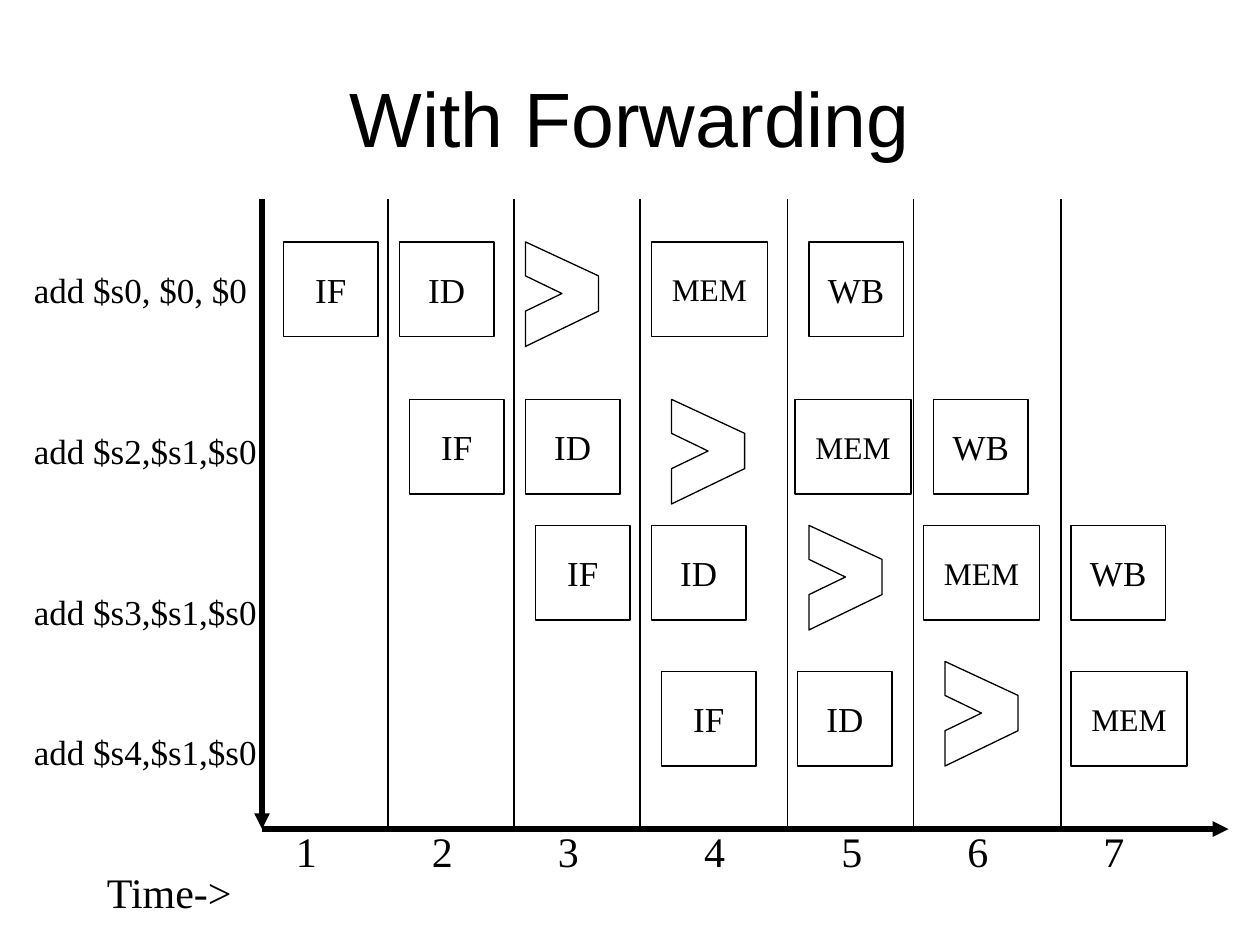
from lxml import etree
from pptx import Presentation
from pptx import util as u
from pptx.dml.color import RGBColor
from pptx.enum import shapes, text
from pptx.oxml import ns

COLORS = {"ink": "000000", "paper": "FFFFFF"}
SERIF = "Times New Roman"
AXIS_X, AXIS_Y, GRID_TOP = 2.08, 6.58, 1.58
DIVIDERS = [3.08, 4.08, 5.08, 6.25, 7.25, 8.42]
CYCLE_TABS = [1.08, 2.08, 3.24, 4.33, 5.33, 6.41]
STAGES = {"IF": (0.75, 20), "ID": (0.75, 20), "MEM": (0.92, 18), "WB": (0.75, 20)}
ALU_OUTLINE = [(0, 0.83), (0, 0.55), (0.29, 0.41), (0, 0.27), (0, 0), (0.58, 0.27), (0.58, 0.55)]
INSTRUCTIONS = [
    ("add $s0, $0, $0", 2.08, 1.89, 1.92, 1.92, {"IF": 2.25, "ID": 3.17, "ALU": 4.17, "MEM": 5.17, "WB": 6.42}),
    ("add $s2,$s1,$s0", 3.36, 1.97, 3.17, 3.17, {"IF": 3.25, "ID": 4.17, "ALU": 5.33, "MEM": 6.31, "WB": 7.41}),
    ("add $s3,$s1,$s0", 4.64, 1.97, 4.17, 4.17, {"IF": 4.25, "ID": 5.17, "ALU": 6.42, "MEM": 7.33, "WB": 8.5}),
    ("add $s4,$s1,$s0", 5.75, 1.97, 5.33, 5.25, {"IF": 5.25, "ID": 6.33, "ALU": 7.5, "MEM": 8.5}),
]


def color(name):
    """Return the named palette colour."""
    return RGBColor.from_string(COLORS[name])


def style_text(frame, size, face=SERIF, align=text.PP_ALIGN.LEFT):
    """Format every run of a text frame."""
    for paragraph in frame.paragraphs:
        paragraph.alignment = align
        for run in paragraph.runs:
            run.font.size = u.Pt(size)
            run.font.name = face
            run.font.color.rgb = color("ink")


def add_label(slide, wording, left, top, width, height, size, wrap=False):
    """Add a left-aligned text box and return its frame."""
    label = slide.shapes.add_textbox(*map(u.Inches, (left, top, width, height)))
    frame = label.text_frame
    frame.text = wording
    frame.word_wrap = wrap
    style_text(frame, size)
    return frame


def add_title(slide, wording):
    """Add the centred slide heading."""
    frame = add_label(slide, wording, 0.5, 0.3, 9, 1.25, 44, wrap=True)
    frame.vertical_anchor = text.MSO_ANCHOR.MIDDLE
    style_text(frame, 44, "Arial", text.PP_ALIGN.CENTER)


def add_cycle_numbers(slide):
    """Number the clock cycles along the time axis using tab stops."""
    wording = "\t".join(str(cycle) for cycle in range(1, len(CYCLE_TABS) + 2))
    frame = add_label(slide, wording, 2.25, 6.5, 6.87, 0.9, 24, wrap=True)
    properties = frame.paragraphs[0]._p.get_or_add_pPr()
    tab_list = etree.SubElement(properties, ns.qn("a:tabLst"))
    for stop in CYCLE_TABS:
        etree.SubElement(tab_list, ns.qn("a:tab"), pos=str(u.Inches(stop)), algn="l")


def add_line(slide, start, end, width, arrow=False):
    """Draw a straight line, optionally with an arrowhead at its end."""
    line = slide.shapes.add_connector(shapes.MSO_CONNECTOR.STRAIGHT, *map(u.Inches, start + end))
    line.line.color.rgb = color("ink")
    line.line.width = u.Pt(width)
    if arrow:
        etree.SubElement(line.line._get_or_add_ln(), ns.qn("a:tailEnd"), type="triangle")
    etree.SubElement(line._element.spPr, ns.qn("a:effectLst"))


def style_stage(stage):
    """Give a pipeline stage its white fill and thin outline."""
    stage.shadow.inherit = False
    stage.fill.solid()
    stage.fill.fore_color.rgb = color("paper")
    stage.line.color.rgb = color("ink")
    stage.line.width = u.Pt(0.75)


def add_stage(slide, name, left, top):
    """Add a named pipeline stage box."""
    width, size = STAGES[name]
    stage = slide.shapes.add_shape(shapes.MSO_SHAPE.RECTANGLE, *map(u.Inches, (left, top, width, 0.75)))
    style_stage(stage)
    frame = stage.text_frame
    frame.text = name
    frame.word_wrap = False
    frame.vertical_anchor = text.MSO_ANCHOR.MIDDLE
    style_text(frame, size, align=text.PP_ALIGN.CENTER)


def add_alu(slide, left, top):
    """Add the notched outline of the execute stage."""
    points = [(u.Inches(left + x), u.Inches(top + y)) for x, y in ALU_OUTLINE]
    builder = slide.shapes.build_freeform(*points[0])
    builder.add_line_segments(points[1:], close=True)
    style_stage(builder.convert_to_shape())


def add_instruction(slide, wording, label_top, label_width, stage_top, alu_top, stages):
    """Add one instruction label and its pipeline stages."""
    add_label(slide, wording, 0.17, label_top, label_width, 0.44, 20)
    for name, left in stages.items():
        if name == "ALU":
            add_alu(slide, left, alu_top)
        else:
            add_stage(slide, name, left, stage_top)


def main():
    """Build the pipeline diagram slide."""
    deck = Presentation()
    deck.slide_width, deck.slide_height = u.Inches(10), u.Inches(7.5)
    slide = deck.slides.add_slide(deck.slide_layouts[6])
    add_title(slide, "With Forwarding")
    add_line(slide, (AXIS_X, GRID_TOP), (AXIS_X, AXIS_Y), 3, arrow=True)
    add_line(slide, (AXIS_X, AXIS_Y), (9.75, AXIS_Y), 3, arrow=True)
    add_label(slide, "Time->", 0.75, 6.83, 1.2, 0.5, 24)
    add_cycle_numbers(slide)
    for x in DIVIDERS:
        add_line(slide, (x, AXIS_Y), (x, GRID_TOP), 0.75)
    for instruction in INSTRUCTIONS:
        add_instruction(slide, *instruction)
    deck.save("out.pptx")


if __name__ == "__main__":
    main()
